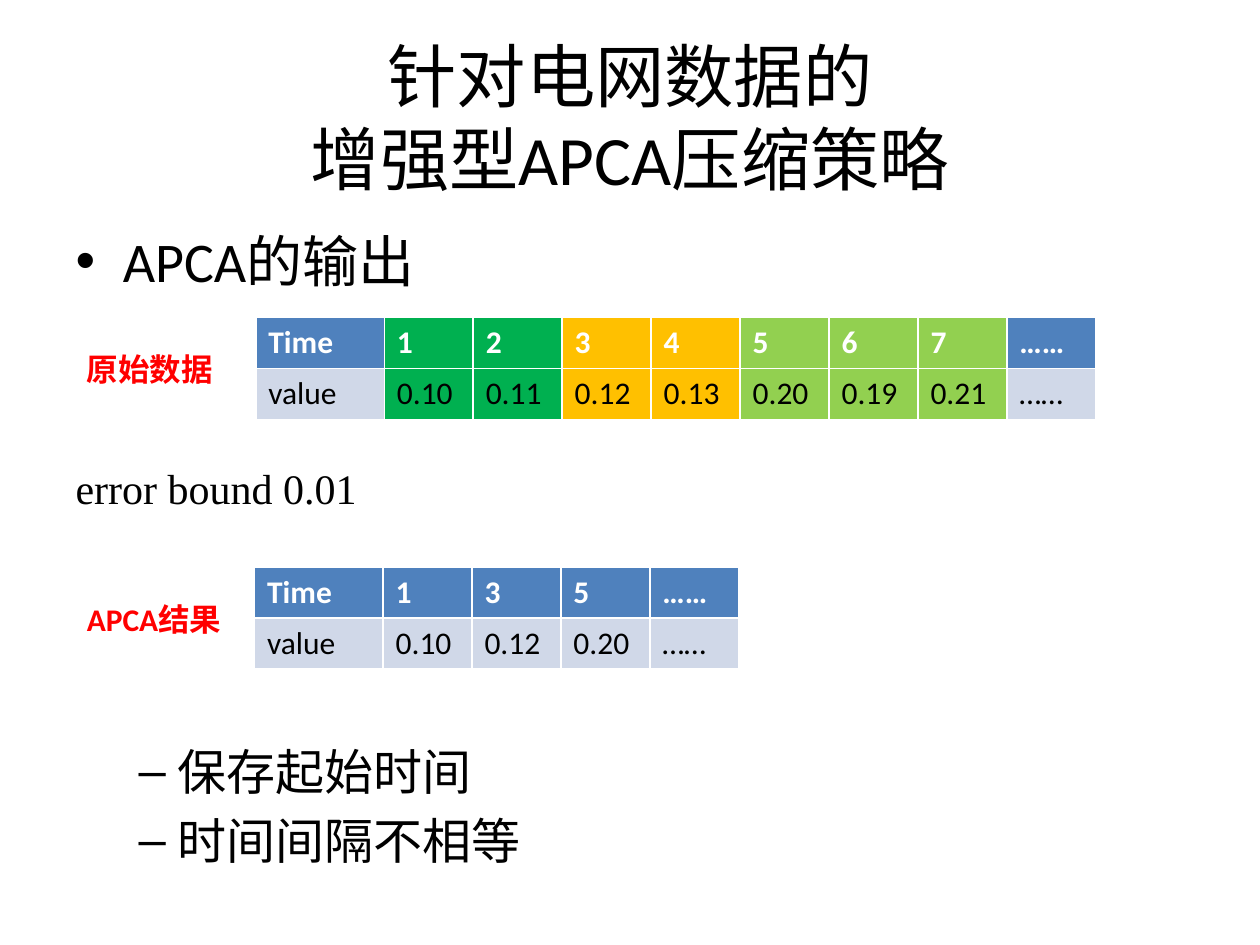
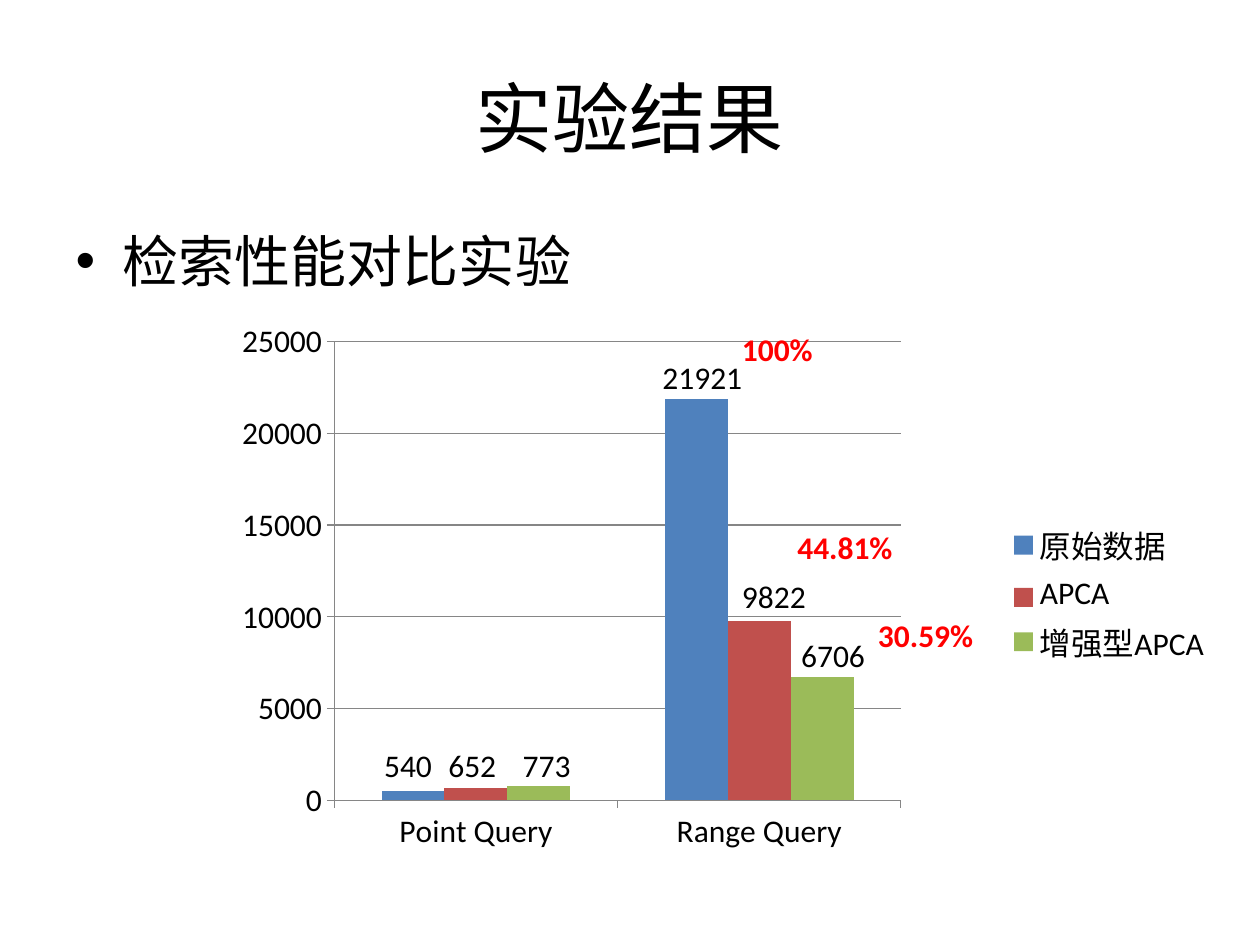
from lxml import etree
from pptx import Presentation
from pptx import util as u
from pptx.chart import data as chart_data
from pptx.dml import color
from pptx.enum import chart as chart_enum
from pptx.enum import text
from pptx.oxml import ns

# Shared style: a grid of 100 columns by 75 rows covers each slide
CELL = u.Inches(0.1)
COLUMNS, ROWS = 100, 75
FONT, SERIF = "Calibri", "Times New Roman"
LABEL_SIZE = 18
COLORS = {
    "black": "000000", "white": "FFFFFF", "red": "FF0000",
    "blue": "4F81BD", "brick": "C0504D", "olive": "9BBB59",
    "pale": "D0D8E8", "green": "00B050", "amber": "FFC000",
    "lime": "92D050", "grid": "868686",
}
TITLE_BOX = (5, 3, 90, 12.5)


def rgb(name):
    return color.RGBColor.from_string(COLORS[name])


def grid(*lengths):
    return [round(length * CELL) for length in lengths]


def set_font(font, size, name="black", bold=False, face=FONT):
    font.name, font.size, font.bold = face, u.Pt(size), bold
    font.color.rgb = rgb(name)


def format_runs(paragraph, *style, **options):
    for run in paragraph.runs:
        set_font(run.font, *style, **options)


def move(shape, box):
    shape.left, shape.top, shape.width, shape.height = grid(*box)


def add_titled_slide(presentation, title, size):
    slide = presentation.slides.add_slide(presentation.slide_layouts[1])
    shape = slide.shapes.title
    move(shape, TITLE_BOX)
    frame = shape.text_frame
    frame.text = title
    frame.auto_size = text.MSO_AUTO_SIZE.NONE
    frame.vertical_anchor = text.MSO_ANCHOR.MIDDLE
    frame.paragraphs[0].alignment = text.PP_ALIGN.CENTER
    format_runs(frame.paragraphs[0], size)
    return slide


def fill_body(slide, box, items):
    """Each item: wording, level, size, typeface, space before in points."""
    shape = slide.placeholders[1]
    move(shape, box)
    frame = shape.text_frame
    frame.text = "\n".join(item[0] for item in items)
    frame.auto_size = text.MSO_AUTO_SIZE.NONE
    for paragraph, (_, level, size, face, gap) in zip(frame.paragraphs, items):
        paragraph.level = level
        paragraph.space_before = u.Pt(gap)
        format_runs(paragraph, size, face=face)
        if face == SERIF:  # plain line, without a bullet
            properties = paragraph._p.get_or_add_pPr()
            properties.set("marL", "0")
            properties.set("indent", "0")
            etree.SubElement(properties, ns.qn("a:buNone"))


def add_label(slide, box, wording, name="black", bold=False, wrap=False):
    frame = slide.shapes.add_textbox(*grid(*box)).text_frame
    frame.word_wrap = wrap
    frame.text = wording
    format_runs(frame.paragraphs[0], LABEL_SIZE, name, bold)


def add_series_table(slide, left, top, times, values, fills=None):
    """Two rows: times over values; the table style draws white borders."""
    first, other, height = 10.2, 7.06, 4.05
    count = len(times) + 1
    table = slide.shapes.add_table(
        2, count, *grid(left, top, first + other * len(times), 2 * height)).table
    for index, column in enumerate(table.columns):
        column.width = grid(other if index else first)[0]
    rows = (
        (["Time", *times], "blue", "white", True),
        (["value", *values], "pale", "black", False),
    )
    for row, (words, base, ink, bold) in enumerate(rows):
        table.rows[row].height = grid(height)[0]
        shades = [base, *(fills or [base] * (count - 2)), base]
        for column, (word, shade) in enumerate(zip(words, shades)):
            cell = table.cell(row, column)
            cell.text = word
            cell.fill.solid()
            cell.fill.fore_color.rgb = rgb(shade)
            format_runs(cell.text_frame.paragraphs[0], LABEL_SIZE, ink, bold)


def set_plot_layout(chart, **shares):
    plot_area = chart._chartSpace.chart.plotArea
    for old in plot_area.findall(ns.qn("c:layout")):
        plot_area.remove(old)
    layout = etree.Element(ns.qn("c:layout"))
    manual = etree.SubElement(layout, ns.qn("c:manualLayout"))
    settings = {"layoutTarget": "inner", "xMode": "edge", "yMode": "edge", **shares}
    for tag, value in settings.items():
        etree.SubElement(manual, ns.qn("c:" + tag)).set("val", str(value))
    plot_area.insert(0, layout)


def add_column_chart(slide, box, categories, series):
    data = chart_data.CategoryChartData()
    data.categories = categories
    for name, values, _ in series:
        data.add_series(name, values)
    chart = slide.shapes.add_chart(
        chart_enum.XL_CHART_TYPE.COLUMN_CLUSTERED, *grid(*box), data).chart
    set_font(chart.font, LABEL_SIZE)
    chart.has_title = False
    chart.has_legend = True
    chart.legend.position = chart_enum.XL_LEGEND_POSITION.RIGHT
    chart.legend.include_in_layout = False
    plot = chart.plots[0]
    plot.gap_width, plot.overlap, plot.vary_by_categories = 150, 0, False
    for bars, (_, _, name) in zip(plot.series, series):
        bars.format.fill.solid()
        bars.format.fill.fore_color.rgb = rgb(name)
    value_axis = chart.value_axis
    value_axis.minimum_scale, value_axis.maximum_scale = 0, 25000
    value_axis.major_unit = 5000
    value_axis.has_major_gridlines = True
    lines = [value_axis.major_gridlines.format.line]
    for axis in (chart.category_axis, value_axis):
        axis.major_tick_mark = chart_enum.XL_TICK_MARK.OUTSIDE
        lines.append(axis.format.line)
    for line in lines:
        line.color.rgb = rgb("grid")
        line.width = u.Pt(0.75)
    set_plot_layout(chart, x=0.12, y=0.05, w=0.56, h=0.82)


def build_output_slide(presentation):
    slide = add_titled_slide(
        presentation, "针对电网数据的\v增强型APCA压缩策略", 39.6)
    fill_body(slide, (5, 17.5, 90, 53.1), [
        ("APCA的输出", 0, 32, FONT, 6.4),
        ("error bound 0.01", 0, 24, SERIF, 96),
        ("保存起始时间", 1, 28, FONT, 131),
        ("时间间隔不相等", 1, 28, FONT, 5.6),
    ])
    # Raw readings, shaded by segment, then the first reading of each segment
    add_series_table(
        slide, 20.3, 25.2, [*"1234567", "……"],
        ["0.10", "0.11", "0.12", "0.13", "0.20", "0.19", "0.21", "……"],
        ["green"] * 2 + ["amber"] * 2 + ["lime"] * 3)
    add_series_table(
        slide, 20.2, 45, [*"135", "……"], ["0.10", "0.12", "0.20", "……"])
    for top, width, wording in ((27.3, 12.1, "原始数据"), (47.1, 12.8, "APCA结果")):
        add_label(slide, (5.9, top, width, 4), wording, "red", True, wrap=True)


def build_result_slide(presentation):
    slide = add_titled_slide(presentation, "实验结果", 44)
    fill_body(slide, (5, 17.5, 90, 49.5),
              [("检索性能对比实验", 0, 32, FONT, 6.4)])
    add_column_chart(slide, (16.9, 24.9, 80.3, 44.4), ["Point Query", "Range Query"], [
        ("原始数据", (500, 21900), "blue"),
        ("APCA", (700, 9800), "brick"),
        ("增强型APCA", (800, 6700), "olive"),
    ])
    # Measured values above the bars
    for left, top, width, wording in (
            (29.5, 58.7, 5.9, "540"), (34.6, 58.7, 5.9, "652"),
            (40.5, 58.7, 5.9, "773"), (51.6, 27.9, 8.4, "21921"),
            (57.9, 45.3, 7.1, "9822"), (62.6, 50, 7.1, "6706")):
        add_label(slide, (left, top, width, 4), wording)
    # Shares of the raw data's result
    for left, top, width, wording in (
            (57.9, 25.7, 7.7, "100%"), (62.3, 41.4, 9.6, "44.81%"),
            (68.7, 48.4, 9.6, "30.59%")):
        add_label(slide, (left, top, width, 4), wording, "red", True)


presentation = Presentation()
presentation.slide_width, presentation.slide_height = grid(COLUMNS, ROWS)
build_output_slide(presentation)
build_result_slide(presentation)
presentation.save("out.pptx")
